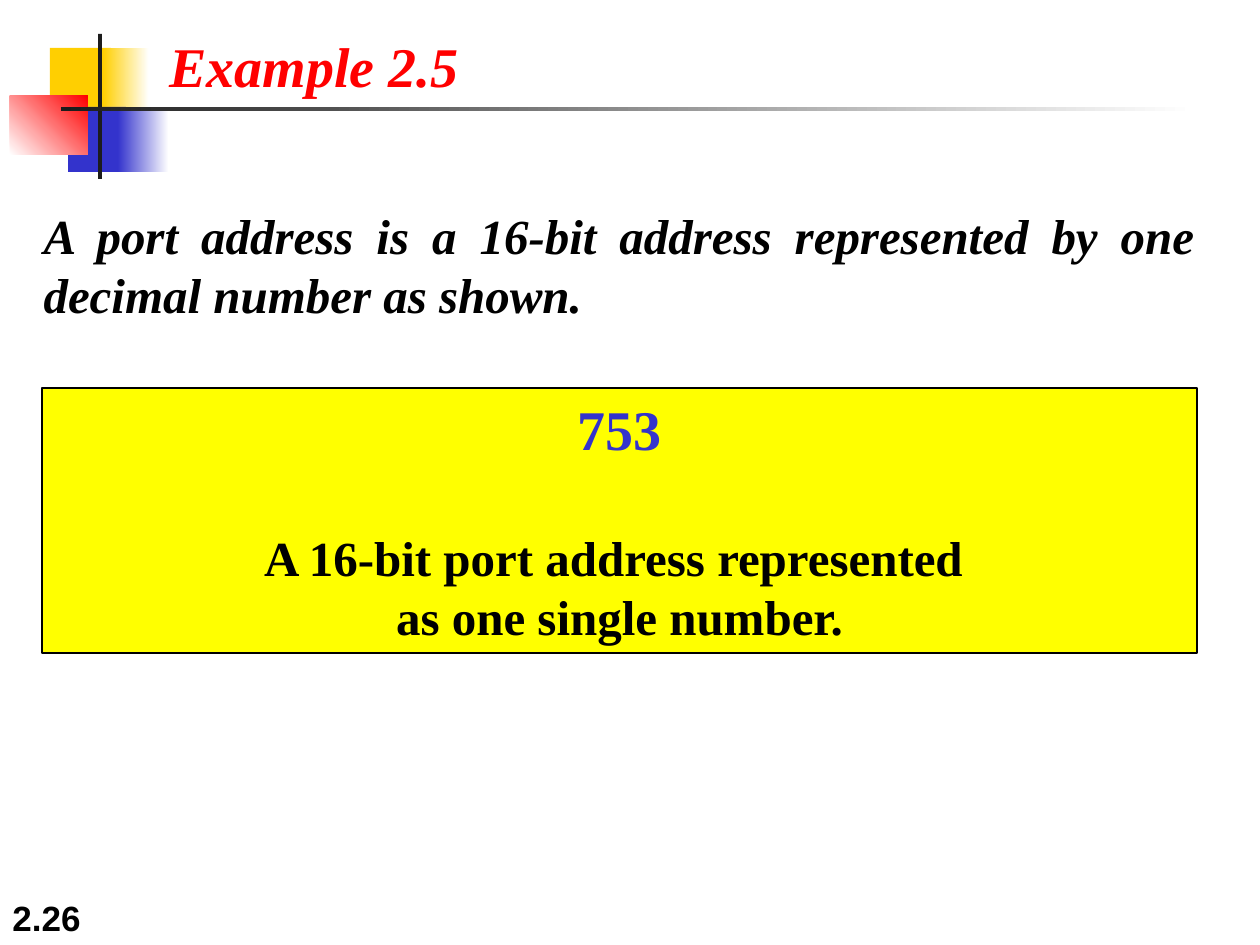
from pptx import Presentation
from pptx.dml.color import RGBColor
from pptx.enum.shapes import MSO_SHAPE
from pptx.enum.text import MSO_ANCHOR, PP_ALIGN
from pptx.util import Pt
from lxml.etree import SubElement
from pptx.oxml.ns import qn

PX = 914400 // 126  # EMU per px
WHITE = RGBColor(0xFF, 0xFF, 0xFF)
BLACK = RGBColor(0x00, 0x00, 0x00)
CHARCOAL = RGBColor(0x1C, 0x1C, 0x1C)
RED = RGBColor(0xFF, 0x00, 0x00)
GOLD = RGBColor(0xFF, 0xCF, 0x01)
BLUE = RGBColor(0x33, 0x33, 0xCC)
YELLOW = RGBColor(0xFF, 0xFF, 0x00)
SERIF, SANS = "Times New Roman", "Arial"


class SlideBuilder:
    """Holds the current slide and draws its elements in one style."""

    def __init__(self, slide):
        self.slide = slide

    def place(self, shape, left, top, width, height):
        shape.left, shape.top = left * PX, top * PX
        shape.width, shape.height = width * PX, height * PX

    def rectangle(self, box, color, end_color=None, angle=0):
        shape = self.slide.shapes.add_shape(
            MSO_SHAPE.RECTANGLE, *(length * PX for length in box))
        shape.shadow.inherit = False
        shape.line.fill.background()
        if end_color is None:
            shape.fill.solid()
            shape.fill.fore_color.rgb = color
        else:
            shape.fill.gradient()
            shape.fill.gradient_angle = angle
            stops = shape.fill.gradient_stops
            for stop, position, stop_color in zip(stops, (0, 1), (color, end_color)):
                stop.position = position
                stop.color.rgb = stop_color
        return shape

    def frame(self, shape, anchor=MSO_ANCHOR.TOP, wrap=True):
        text_frame = shape.text_frame
        text_frame.word_wrap = wrap
        text_frame.vertical_anchor = anchor
        return text_frame

    def add_lines(self, paragraph, lines, size, color, font=SERIF, italic=False,
                  align=PP_ALIGN.LEFT, space_before=0):
        paragraph.alignment = align
        paragraph.space_before = Pt(space_before)
        for index, line in enumerate(lines):
            if index:
                paragraph.add_line_break()
            run = paragraph.add_run()
            run.text = line
            run.font.name, run.font.size = font, Pt(size)
            run.font.bold, run.font.italic = True, italic
            run.font.color.rgb = color

    def placeholder(self, shape, box, text, size, color, align, wrap=True):
        self.place(shape, *box)
        paragraph = self.frame(shape, wrap=wrap).paragraphs[0]
        properties = paragraph._p.get_or_add_pPr()
        properties.set("marL", "0")
        properties.set("indent", "0")
        SubElement(properties, qn("a:buNone"))
        self.add_lines(paragraph, [text], size, color, italic=True, align=align)

    def label(self, box, text, size, color, font):
        shape = self.slide.shapes.add_textbox(*(length * PX for length in box))
        text_frame = self.frame(shape, MSO_ANCHOR.BOTTOM)
        self.add_lines(text_frame.paragraphs[0], [text], size, color, font)


def main():
    presentation = Presentation()
    presentation.slide_width, presentation.slide_height = 1260 * PX, 945 * PX
    slide = presentation.slides.add_slide(presentation.slide_layouts[1])
    builder = SlideBuilder(slide)

    # Slide number
    builder.label((0, 882, 262, 63), "2.26", 20, BLACK, SANS)

    # Corner ornament: coloured squares, then the two rules
    builder.rectangle((50, 48, 61, 65), GOLD)
    builder.rectangle((103, 48, 46, 65), GOLD, WHITE)
    builder.rectangle((68, 107, 58, 65), BLUE)
    builder.rectangle((118, 107, 51, 65), BLUE, WHITE)
    builder.rectangle((10, 96, 78, 59), WHITE, RED, angle=45)
    builder.rectangle((98, 34, 4, 145), CHARCOAL)
    builder.rectangle((61, 107, 1134, 4), CHARCOAL, WHITE)

    # Title and statement
    builder.placeholder(slide.shapes.title, (157, 25, 315, 81), "Example 2.5",
                        32, RED, PP_ALIGN.LEFT, wrap=False)
    builder.placeholder(
        slide.placeholders[1], (31, 199, 1176, 131),
        "A port address is a 16-bit address represented by one decimal number as shown.",
        28, BLACK, PP_ALIGN.JUSTIFY)

    # Port address panel
    panel = builder.rectangle((42, 388, 1155, 265), YELLOW)
    panel.line.color.rgb = BLACK
    panel.line.width = Pt(0.75)
    text_frame = builder.frame(panel)
    builder.add_lines(text_frame.paragraphs[0], ["753"], 32, BLUE,
                      align=PP_ALIGN.CENTER)
    builder.add_lines(text_frame.add_paragraph(),
                      ["A 16-bit port address represented ", "as one single number."],
                      28, BLACK, align=PP_ALIGN.CENTER, space_before=38)

    presentation.save("out.pptx")


if __name__ == "__main__":
    main()
